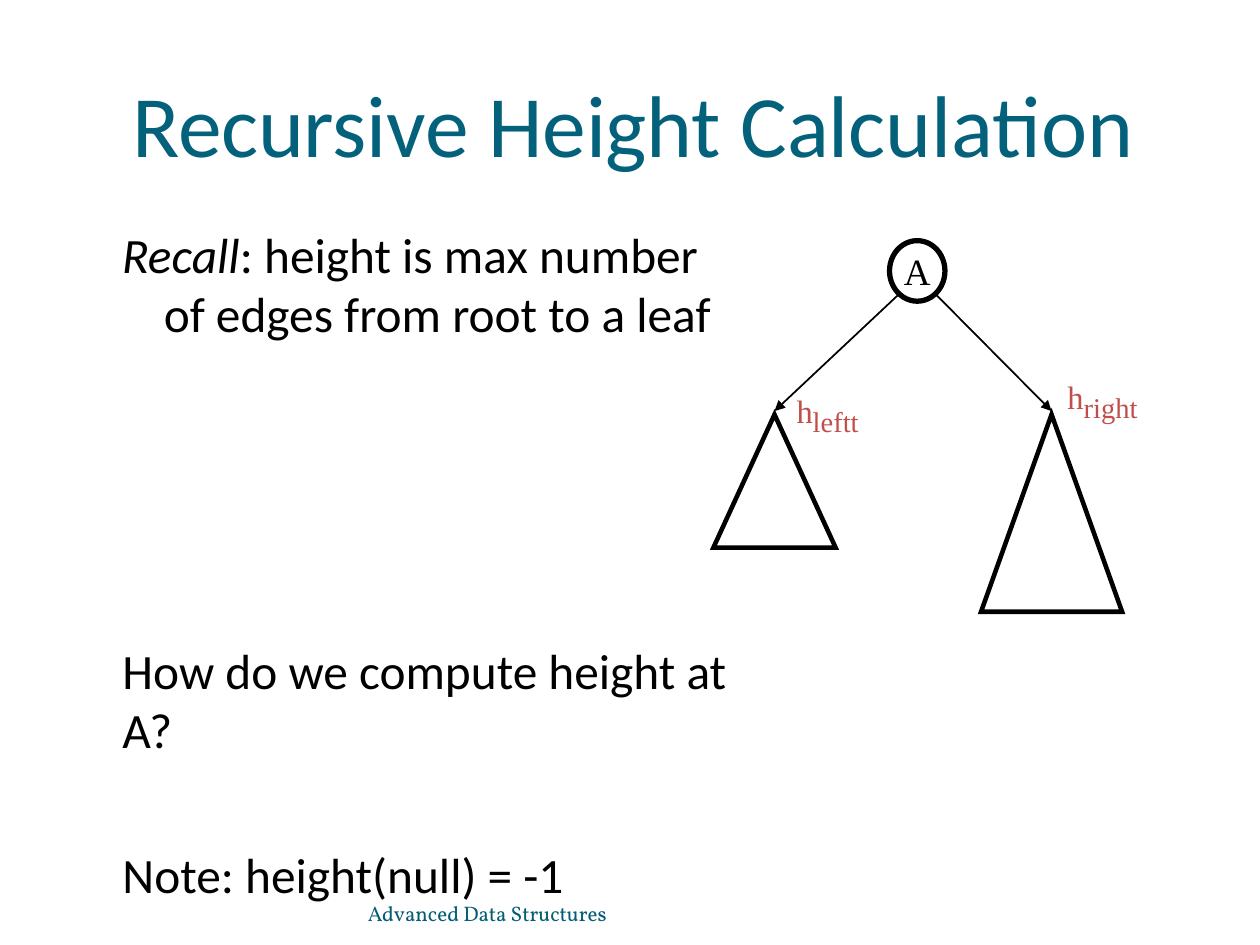
from dataclasses import dataclass

import pptx
import pptx.dml.color
import pptx.enum.dml
import pptx.enum.shapes
import pptx.enum.text
import pptx.oxml
import pptx.oxml.ns
import pptx.util

Pt = pptx.util.Pt
SHAPES = pptx.enum.shapes.MSO_SHAPE
ANCHOR = pptx.enum.text.MSO_ANCHOR
ALIGN = pptx.enum.text.PP_ALIGN

BLACK, TEAL, RED, FOOTER_TEAL = "000000", "04617B", "C04F4C", "045D75"
SANS, SERIF = "Calibri", "Times New Roman"
BODY_SIZE = 28.2
OUTLINE = 2.6
APEX_Y = 236.9


@dataclass
class Box:
    left: float
    top: float
    width: float
    height: float


@dataclass
class Subtree:
    apex_x: float
    width: float
    height: float
    arrow_start_x: float
    subscript: str
    label: Box


SUBTREES = [
    Subtree(442.6, 69.8, 76, 513, "leftt", Box(454.3, 228.2, 43.2, 24.5)),
    Subtree(600.9, 80.6, 112.7, 535.3, "right", Box(609.1, 220.3, 43.2, 25.2)),
]


def rgb(colour: str):
    return pptx.dml.color.RGBColor.from_string(colour)


def add_xml(parent, xml: str) -> None:
    tag, rest = xml.split(" ", 1)
    ns = pptx.oxml.ns.nsdecls("a")
    parent.append(pptx.oxml.parse_xml(f"<a:{tag} {ns} {rest}/>"))


def place(s, box: Box) -> None:
    s.left, s.top, s.width, s.height = map(
        Pt, (box.left, box.top, box.width, box.height))


def clear_frame(tf, anchor=ANCHOR.TOP, wrap: bool = True):
    """Remove the insets and set anchor and wrapping."""
    tf.margin_left = tf.margin_right = tf.margin_top = tf.margin_bottom = 0
    tf.vertical_anchor = anchor
    tf.word_wrap = wrap
    tf.auto_size = pptx.enum.text.MSO_AUTO_SIZE.NONE
    return tf


def add_run(p, text: str, size: float, font: str, colour: str = BLACK,
            italic: bool = False):
    r = p.add_run()
    r.text = text
    r.font.size, r.font.name, r.font.italic = Pt(size), font, italic
    r.font.color.rgb = rgb(colour)
    return r


def set_indent(p, left: float, first: float = 0) -> None:
    pPr = p._p.get_or_add_pPr()
    pPr.set("marL", str(int(Pt(left))))
    pPr.set("indent", str(int(Pt(first))))


def add_text_box(slide, box: Box, anchor=ANCHOR.TOP, wrap: bool = True):
    s = slide.shapes.add_textbox(0, 0, 0, 0)
    place(s, box)
    return clear_frame(s.text_frame, anchor, wrap)


def add_outline(slide, kind, box: Box, width: float):
    """Add an unfilled preset shape with a black, mitred outline."""
    sp = slide.shapes.add_shape(kind, 0, 0, 0, 0)
    place(sp, box)
    sp.shadow.inherit = False
    sp.fill.background()
    sp.line.color.rgb = rgb(BLACK)
    sp.line.width = Pt(width)
    add_xml(sp.line._get_or_add_ln(), 'miter lim="800000"')
    return sp


def add_arrow(slide, x1: float, y1: float, x2: float, y2: float) -> None:
    c = slide.shapes.add_connector(
        pptx.enum.shapes.MSO_CONNECTOR.STRAIGHT, *map(Pt, (x1, y1, x2, y2)))
    c.line.color.rgb = rgb(BLACK)
    c.line.width = Pt(1)
    add_xml(c.line._get_or_add_ln(), 'tailEnd type="triangle"')
    add_xml(c._element.spPr, "effectLst ")


def add_subtree(slide, tree: Subtree) -> None:
    add_arrow(slide, tree.arrow_start_x, 168.8, tree.apex_x, APEX_Y - 2)
    add_outline(slide, SHAPES.ISOSCELES_TRIANGLE,
                Box(tree.apex_x - tree.width / 2, APEX_Y,
                    tree.width, tree.height), OUTLINE)
    p = add_text_box(slide, tree.label, wrap=False).paragraphs[0]
    p.line_spacing = Pt(25.3)
    set_indent(p, 0.9)
    r = add_run(p, "h", 31.8, SERIF, RED)
    r.font._element.set("baseline", "16000")
    add_run(p, tree.subscript, 16.3, SERIF, RED)


def add_title(slide) -> None:
    s = slide.shapes.title
    place(s, Box(72, 39.6, 590, 60.5))
    p = clear_frame(s.text_frame, ANCHOR.BOTTOM).paragraphs[0]
    p.alignment = ALIGN.LEFT
    set_indent(p, 3.6)
    r = add_run(p, "Recursive Height Calculation", 50, SANS, TEAL)
    r.font._element.set("spc", "-10")


def add_root(slide) -> None:
    sp = add_outline(slide, SHAPES.OVAL, Box(508.3, 137.5, 31.7, 34.6), 3)
    p = clear_frame(sp.text_frame, ANCHOR.MIDDLE, False).paragraphs[0]
    p.alignment = ALIGN.CENTER
    add_run(p, "A", 21.2, SERIF)


def add_body(slide) -> None:
    p = add_text_box(slide, Box(69.1, 128.2, 352.8, 68.4)).paragraphs[0]
    set_indent(p, 24.5, -23.8)
    add_run(p, "Recall", BODY_SIZE, SANS, italic=True)
    add_run(p, ": height is max number of edges from root to a leaf",
            BODY_SIZE, SANS)

    tf = add_text_box(slide, Box(69.1, 365.8, 374.4, 152))
    p = tf.paragraphs[0]
    add_run(p, "How do we compute height at A?", BODY_SIZE, SANS)
    note = tf.add_paragraph()
    note.space_before = Pt(49)
    add_run(note, "Note: height(null) = -1", BODY_SIZE, SANS)
    for p in tf.paragraphs:
        set_indent(p, 0.9)


def main() -> None:
    prs = pptx.Presentation()
    prs.slide_width, prs.slide_height = Pt(720), Pt(540)
    slide = prs.slides.add_slide(prs.slide_layouts[5])
    add_title(slide)
    add_root(slide)
    for tree in SUBTREES:
        add_subtree(slide, tree)
    add_body(slide)
    footer = add_text_box(slide, Box(210.2, 500.4, 264.2, 28.8), ANCHOR.BOTTOM)
    add_run(footer.paragraphs[0], "Advanced Data Structures", 12,
            "Vollkorn", FOOTER_TEAL)
    prs.save("out.pptx")


if __name__ == "__main__":
    main()
